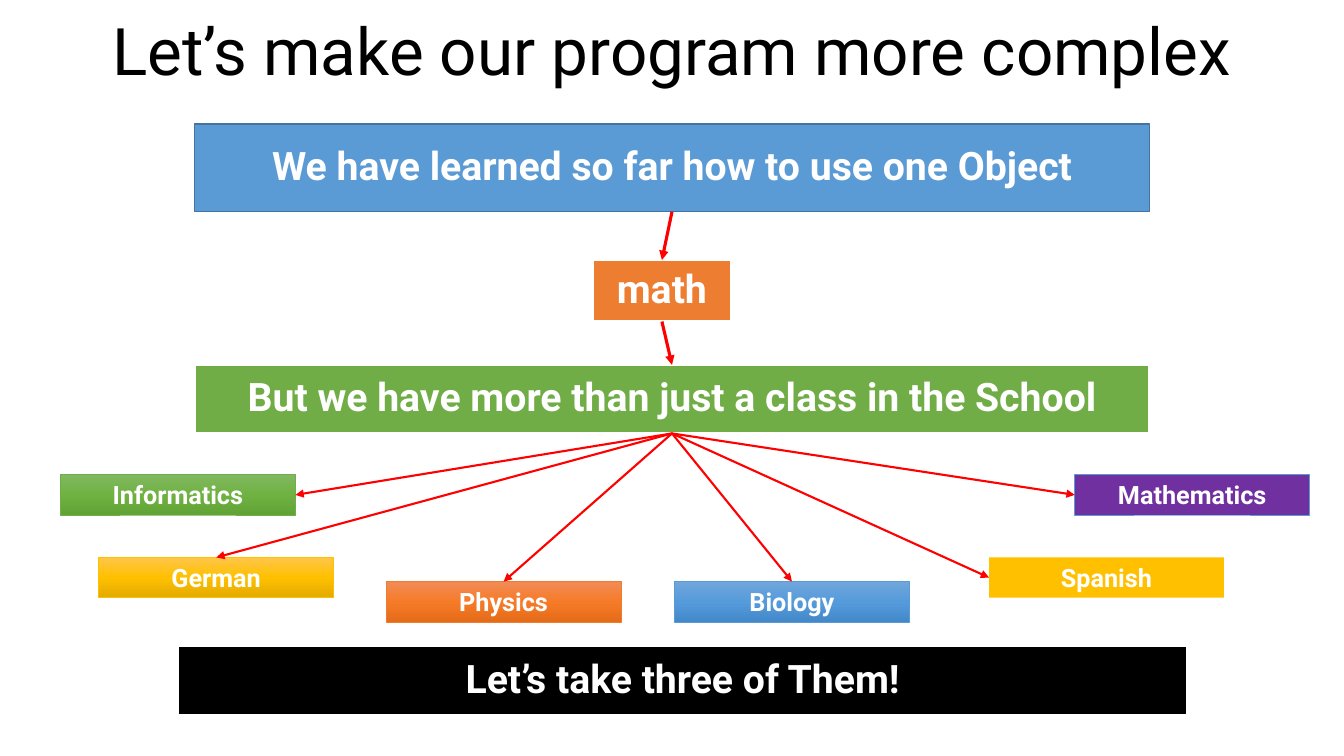
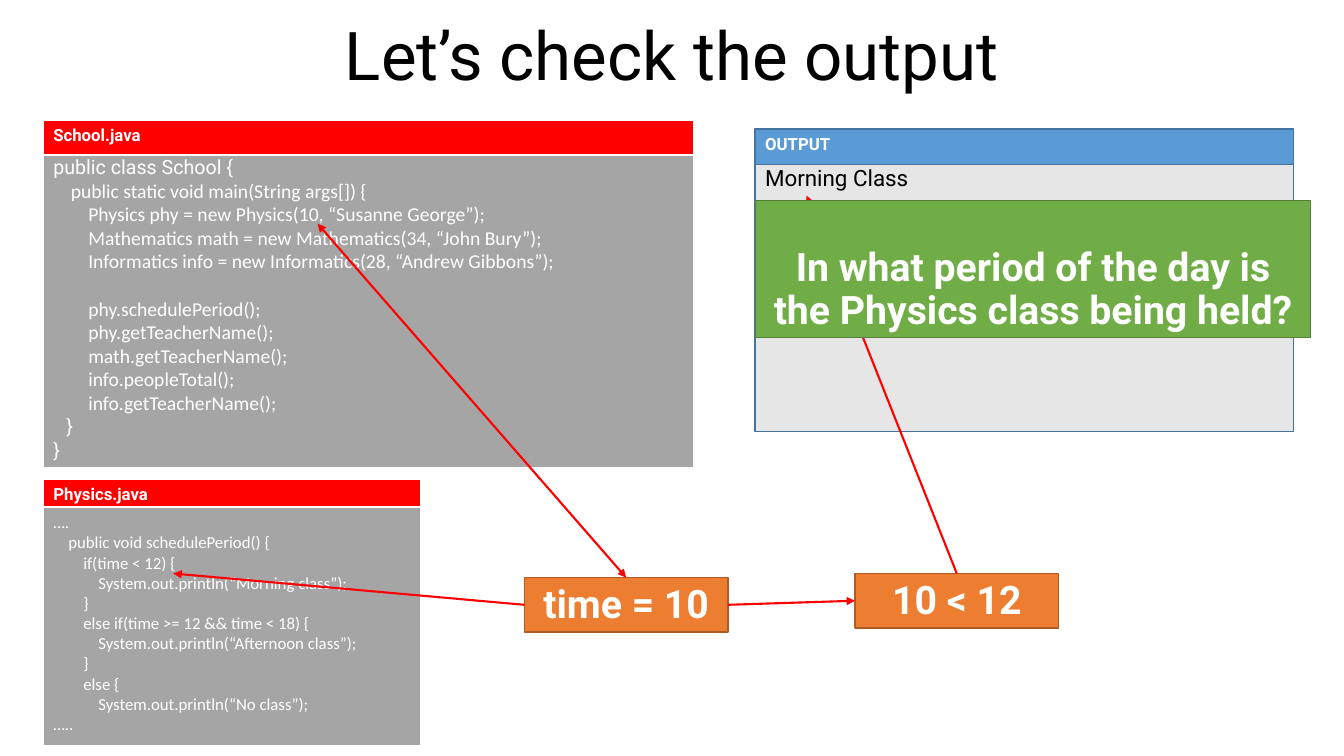
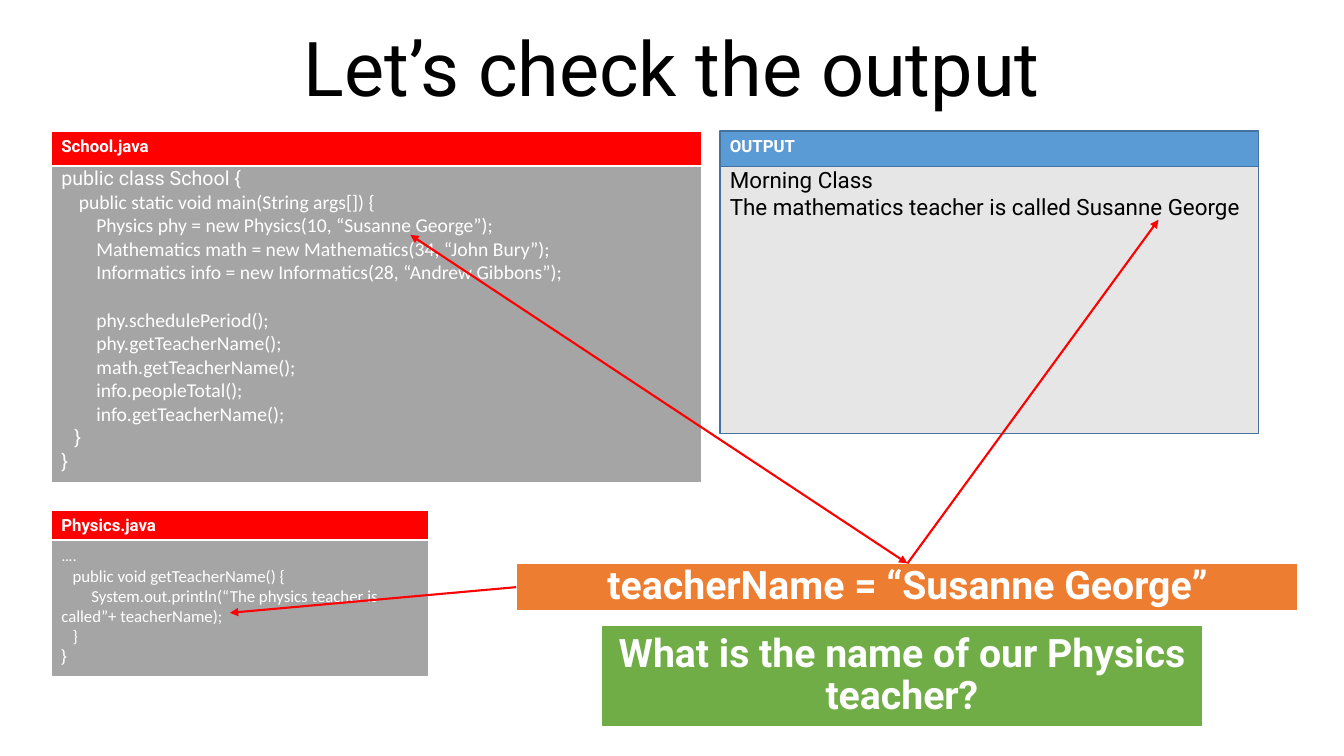
from copy import deepcopy
from dataclasses import dataclass

from lxml import etree
from pptx import Presentation
from pptx.dml.color import RGBColor
from pptx.enum.shapes import MSO_CONNECTOR, MSO_SHAPE
from pptx.enum.text import MSO_ANCHOR, MSO_AUTO_SIZE, PP_ALIGN
from pptx.oxml.ns import qn
from pptx.util import Emu, Pt

RECT = MSO_SHAPE.RECTANGLE
STRAIGHT = MSO_CONNECTOR.STRAIGHT
TOP, MIDDLE, BOTTOM = MSO_ANCHOR.TOP, MSO_ANCHOR.MIDDLE, MSO_ANCHOR.BOTTOM
START, CENTER = PP_ALIGN.LEFT, PP_ALIGN.CENTER
FIXED = MSO_AUTO_SIZE.NONE

SCALE = 9144
WIDE, HIGH = 1333, 750
NORTH, SOUTH, WEST, EAST = (0.5, 0), (0.5, 1), (0, 0.5), (1, 0.5)


@dataclass(frozen=True)
class Theme:
    font: str = "Roboto"
    code: str = "Calibri"
    black: str = "000000"
    white: str = "FFFFFF"
    red: str = "FF0000"
    blue: str = "5B9BD5"
    navy: str = "43739E"
    orange: str = "ED7D31"
    rust: str = "AF5C24"
    green: str = "70AD47"
    moss: str = "538035"
    gold: str = "FFC000"
    purple: str = "7030A0"
    gray: str = "A5A5A5"
    pale: str = "E7E6E6"
    big: int = 28
    label: int = 18
    result: int = 16
    source: int = 14
    small: int = 12
    tight: float = 0.9
    pad: float = 0.31


T = Theme()


@dataclass(frozen=True)
class Box:
    x: int
    y: int
    w: int
    h: int

    def at(self, side):
        return self.x + self.w * side[0], self.y + self.h * side[1]


@dataclass(frozen=True)
class Line:
    text: str
    pad: int = 0
    font: str = T.code
    gap: int = 0


@dataclass(frozen=True)
class Look:
    head: str
    body: str
    ink: str
    edge: str
    width: float


CODE = Look(T.red, T.gray, T.white, T.white, 1.5)
OUTPUT = Look(T.blue, T.pale, T.black, T.navy, 1)

SCHOOL = [
    Line("public class School {", font=T.font),
    Line("public static void main(String args[]) {", 4),
    Line("Physics phy = new Physics(10, “Susanne George”);", 8),
    Line("Mathematics math = new Mathematics(34, “John Bury”);", 8),
    Line("Informatics info = new Informatics(28, “Andrew Gibbons”);", 8),
    Line("phy.schedulePeriod();", 8, gap=17),
    Line("phy.getTeacherName();", 8),
    Line("math.getTeacherName();", 8),
    Line("info.peopleTotal();", 8),
    Line("info.getTeacherName();", 8),
    Line("}", 3, T.font),
    Line("}", font=T.font),
]
PERIOD = [
    Line("…."),
    Line("public void schedulePeriod() {", 4),
    Line("if(time < 12) {", 8),
    Line("System.out.println(“Morning class”);", 12),
    Line("}", 8),
    Line("else if(time >= 12 && time < 18) {", 8),
    Line("System.out.println(“Afternoon class”);", 12),
    Line("}", 8),
    Line("else {", 8),
    Line("System.out.println(“No class”);", 12),
    Line("….."),
]
TEACHER = [
    Line("….", font=T.font),
    Line("public void getTeacherName() {", 3),
    Line("System.out.println(“The physics teacher is called”+ teacherName);", 8),
    Line("}", 3),
    Line("}", font=T.font),
]
MORNING = Line("Morning Class", font=T.font)
CALLED = Line("The mathematics teacher is called Susanne George", font=T.font)

SUBJECTS = [
    ("Mathematics", 1066, 471, T.purple, T.blue, WEST),
    ("Spanish", 981, 553, T.gold, None, WEST),
    ("Biology", 669, 577, ("71A6DB", "559BDB", "448ACA"), T.blue, NORTH),
    ("Physics", 383, 577, ("F18C57", "F67B28", "E56C19"), T.orange, NORTH),
    ("German", 98, 553, ("FFC64B", "FFC000", "E3AB00"), T.gold, NORTH),
    ("Informatics", 60, 471, ("81B861", "6FB242", "62A336"), T.green, EAST),
]


def px(count):
    return Emu(round(count * SCALE))


def tint(name):
    return RGBColor.from_string(name)


def write(shape, text, size=T.big, color=T.white, bold=False, align=CENTER,
          anchor=MIDDLE, space=1.0):
    frame = shape.text_frame
    frame.auto_size = FIXED
    frame.word_wrap = True
    frame.vertical_anchor = anchor
    lines = [Line(text, font=T.font)] if isinstance(text, str) else text
    for rank, line in enumerate(lines):
        para = frame.add_paragraph() if rank else frame.paragraphs[0]
        para.alignment = align
        para.line_spacing = space
        para.space_before = Pt(line.gap)
        if line.pad:
            props = para._p.get_or_add_pPr()
            props.set("marL", "0")
            props.set("indent", str(px(line.pad * size * T.pad)))
        run = para.add_run()
        run.text = line.text
        run.font.name = line.font
        run.font.size = Pt(size)
        run.font.bold = bold
        run.font.color.rgb = tint(color)


def blend(shape, colors):
    shape.fill.gradient()
    shape.fill.gradient_angle = 270
    first = next(shape._element.iter(qn("a:gs")))
    first.addnext(deepcopy(first))
    for rank, (stop, color) in enumerate(zip(shape.fill.gradient_stops, colors)):
        stop.position = rank / 2
        stop.color.rgb = tint(color)


def block(slide, box, text, fill, edge=T.white, width=1.5, **form):
    shape = slide.shapes.add_shape(RECT, px(box.x), px(box.y), px(box.w), px(box.h))
    shape.shadow.inherit = False
    if isinstance(fill, tuple):
        blend(shape, fill)
    else:
        shape.fill.solid()
        shape.fill.fore_color.rgb = tint(fill)
    if edge:
        shape.line.color.rgb = tint(edge)
        shape.line.width = Pt(width)
    else:
        shape.line.fill.background()
    write(shape, text, **form)
    return box


def banner(slide, box, text, fill, **form):
    return block(slide, box, text, fill, bold=True, space=T.tight, **form)


def arrow(slide, start, end, width=1.5, both=False):
    line = slide.shapes.add_connector(STRAIGHT, *map(px, start + end))
    line.line.color.rgb = tint(T.red)
    line.line.width = Pt(width)
    stroke = line.line._get_or_add_ln()
    for tag in ("a:headEnd", "a:tailEnd") if both else ("a:tailEnd",):
        etree.SubElement(stroke, qn(tag), type="triangle")
    etree.SubElement(line._element.spPr, qn("a:effectLst"))


def panel(slide, box, name, lines, look, size, head=35, over=5):
    step = head - over
    body = Box(box.x, box.y + step, box.w, box.h - step)
    block(slide, body, lines, look.body, look.edge, look.width,
          size=size, color=look.ink, align=START, anchor=TOP)
    block(slide, Box(box.x, box.y, box.w, head), name, look.head, look.edge,
          look.width, size=T.small, bold=True, align=START, anchor=TOP)


def page(deck, text, high, size, anchor=MIDDLE):
    slide = deck.slides.add_slide(deck.slide_layouts[5])
    title = slide.shapes.title
    title.left, title.top, title.width, title.height = map(px, (0, 0, WIDE, high))
    write(title, text, size=size, color=T.black, anchor=anchor, space=T.tight)
    return slide


def fan(slide, hub):
    for name, x, y, fill, edge, side in SUBJECTS:
        box = block(slide, Box(x, y, 233, 40), name, fill, edge, 0.5,
                    size=T.label, bold=True, anchor=TOP)
        arrow(slide, hub.at(SOUTH), box.at(side))


def lesson(deck):
    slide = page(deck, "Let’s make our program more complex", 108, 46.8)
    past = banner(slide, Box(193, 123, 947, 87),
                  "We have learned so far how to use one Object",
                  T.blue, edge=T.navy, width=1)
    math = banner(slide, Box(588, 258, 137, 61), "math", T.orange)
    more = banner(slide, Box(193, 362, 947, 68),
                  "But we have more than just a class in the School", T.green)
    fan(slide, more)
    banner(slide, Box(177, 641, 1000, 68), "Let’s take three of Them!", T.black)
    arrow(slide, past.at(SOUTH), math.at(NORTH), 2.25)
    arrow(slide, math.at(SOUTH), more.at(NORTH), 2.25)


def period(deck):
    slide = page(deck, "Let’s check the output", 117, 48)
    panel(slide, Box(749, 128, 534, 300), "OUTPUT", [MORNING], OUTPUT, T.result)
    panel(slide, Box(43, 119, 645, 345), "School.java", SCHOOL, CODE, T.source)
    panel(slide, Box(43, 475, 375, 265), "Physics.java", PERIOD, CODE, T.small,
          head=28, over=0)
    form = {"edge": T.rust, "width": 1, "anchor": BOTTOM}
    time = banner(slide, Box(520, 573, 202, 54), "time = 10", T.orange, **form)
    test = banner(slide, Box(848, 569, 202, 54), "10 < 12", T.orange, **form)
    arrow(slide, time.at(NORTH), (315, 222), both=True)
    arrow(slide, time.at(EAST), test.at(WEST))
    arrow(slide, time.at(WEST), (172, 569))
    arrow(slide, test.at(NORTH), (800, 194))
    banner(slide, Box(749, 199, 551, 136),
           "In what period of the day is the Physics class being held?",
           T.green, edge=T.moss, width=1, anchor=BOTTOM)


def teacher(deck):
    slide = page(deck, "Let’s check the output", 117, 54, BOTTOM)
    panel(slide, Box(714, 130, 534, 300), "OUTPUT", [MORNING, CALLED], OUTPUT,
          T.result)
    panel(slide, Box(51, 130, 645, 349), "School.java", SCHOOL, CODE, T.source)
    panel(slide, Box(51, 506, 375, 166), "Physics.java", TEACHER, CODE, T.small,
          head=30, over=0)
    name = banner(slide, Box(512, 559, 776, 47), "teacherName = “Susanne George”",
                  T.orange)
    arrow(slide, name.at(NORTH), (407, 233), both=True)
    arrow(slide, name.at(WEST), (228, 608))
    arrow(slide, name.at(NORTH), (1149, 218))
    banner(slide, Box(596, 620, 597, 101),
           "What is the name of our Physics teacher?", T.green)


def main():
    deck = Presentation()
    deck.slide_width, deck.slide_height = px(WIDE), px(HIGH)
    for build in (lesson, period, teacher):
        build(deck)
    deck.save("out.pptx")


if __name__ == "__main__":
    main()
